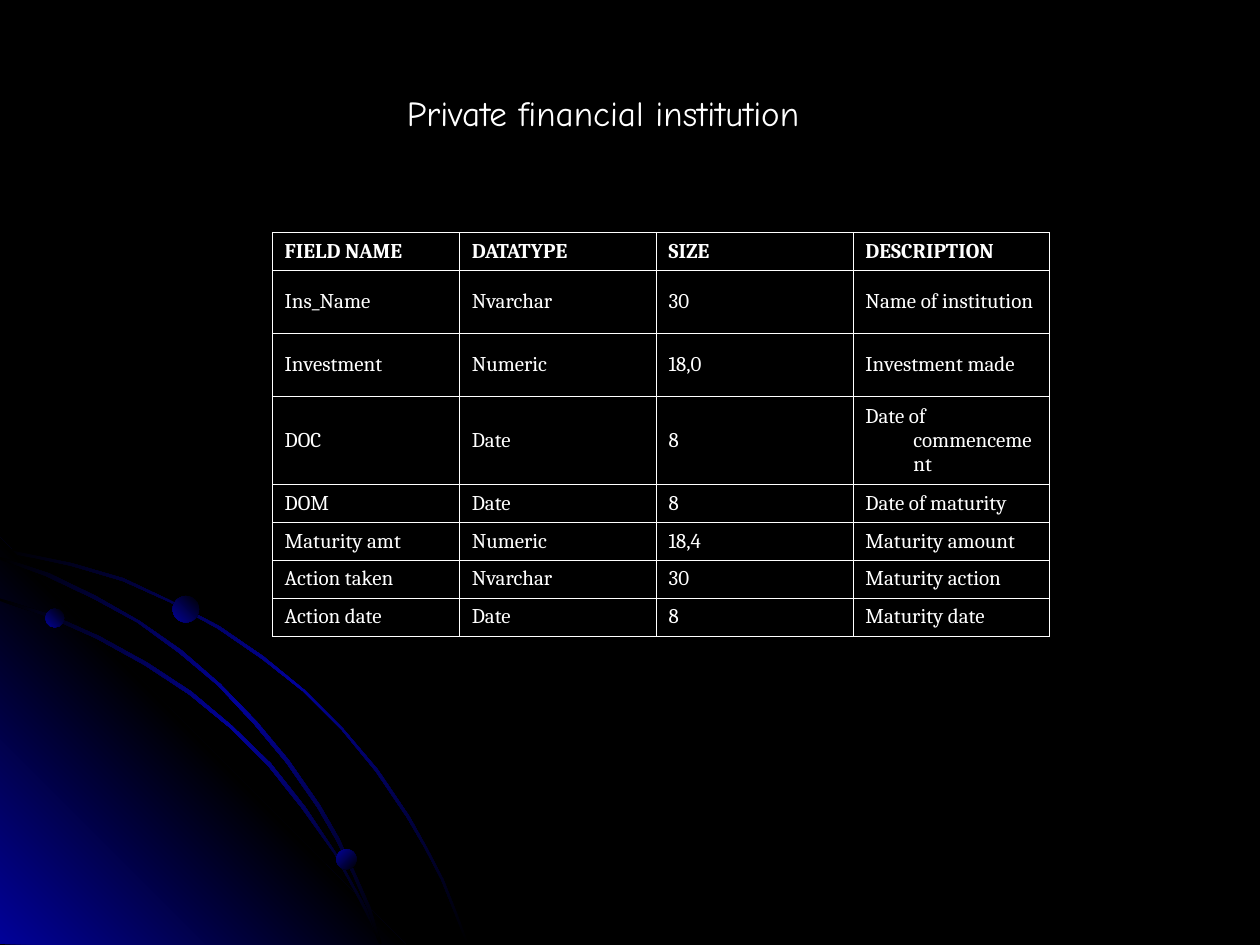
from dataclasses import dataclass

from lxml.etree import SubElement
from pptx import Presentation
from pptx.dml.color import RGBColor
from pptx.enum.shapes import MSO_SHAPE as Shape
from pptx.enum.text import MSO_ANCHOR as Anchor, MSO_AUTO_SIZE as AutoSize
from pptx.oxml import parse_xml
from pptx.oxml.ns import nsdecls, qn
from pptx.util import Inches, Pt

BLACK = RGBColor(0x00, 0x00, 0x00)
BLUE = RGBColor(0x01, 0x01, 0x99)
WHITE = RGBColor(0xFF, 0xFF, 0xFF)

# The slide is a grid of 1000 columns by 750 rows.
COLS, ROWS = 1000, 750
UNIT = Inches(0.01)

GLOW = (BLUE, BLACK, BLUE)
STREAK = (BLACK, BLUE, BLACK)
BALL = (BLACK, BLUE)

TITLE_FORMAT = {"size": Pt(20), "name": "Comic Neue"}
HEAD_FORMAT = {"size": Pt(12), "name": "Cambria", "bold": True}
BODY_FORMAT = {**HEAD_FORMAT, "bold": False}

COL_WIDTHS = (148.5, 156.25, 156.25, 156.25)
ROW_HEIGHTS = (30, 50, 50, 70, 30, 30, 30, 30)
FIELDS = (
    ("FIELD NAME", "DATATYPE", "SIZE", "DESCRIPTION"),
    ("Ins_Name", "Nvarchar", "30", "Name of institution"),
    ("Investment", "Numeric", "18,0", "Investment made"),
    ("DOC", "Date", "8", "Date of commencement"),
    ("DOM", "Date", "8", "Date of maturity"),
    ("Maturity amt", "Numeric", "18,4", "Maturity amount"),
    ("Action taken", "Nvarchar", "30", "Maturity action"),
    ("Action date", "Date", "8", "Maturity date"),
)


@dataclass(frozen=True)
class Outline:
    points: tuple
    colors: tuple
    angle: int


@dataclass(frozen=True)
class Ball:
    left: float
    top: float
    size: float
    angle: int


OUTER_ARC = Outline((
    (57, 447), (28, 441), (0, 435), (0, 438), (28, 443), (56, 449),
    (97, 461), (135, 478), (173, 499), (208, 523), (241, 549), (271, 579),
    (298, 612), (323, 649), (337, 673), (350, 698), (360, 723), (370, 749),
    (372, 749), (362, 723), (352, 698), (339, 673), (325, 648), (300, 611),
    (272, 578), (242, 548), (209, 521), (174, 497), (136, 477), (98, 459),
), STREAK, 225)
CORNER = Outline(((322, 749.5), (0, 749.5), (0, 427)), GLOW, 135)
INNER_ARC = Outline((
    (285, 714), (294, 732), (301, 749), (303, 749), (296, 730), (286, 712),
    (266, 676), (242, 640), (215, 606), (184, 576), (152, 549), (117, 526),
    (79, 505), (41, 488), (0, 475), (0, 477), (39, 490), (77, 507),
    (115, 528), (150, 551), (183, 578), (213, 608), (240, 642), (265, 677),
), STREAK, 225)
MIDDLE_ARC = Outline((
    (0, 442), (0, 444), (36, 457), (74, 475), (109, 494), (142, 518),
    (173, 544), (202, 575), (227, 605), (252, 641), (267, 667), (280, 694),
    (292, 722), (301, 749), (303, 749), (294, 720), (282, 693), (269, 665),
    (254, 639), (229, 603), (204, 573), (175, 543), (144, 516), (111, 493),
    (76, 473), (39, 455),
), STREAK, 225)
OUTLINES = (OUTER_ARC, CORNER, INNER_ARC, MIDDLE_ARC)
BALLS = (Ball(36, 483, 15, 135), Ball(267, 674, 16, 225), Ball(137, 473, 21, 135))


def grid(*values: float) -> list:
    return [round(v * UNIT) for v in values]


def apply_format(font, formats: dict) -> None:
    for name, value in formats.items():
        setattr(font, name, value)
    font.color.rgb = WHITE


def paint_gradient(sp, colors: tuple, angle: int) -> None:
    """Fill with evenly spaced colours; the angle runs clockwise in degrees."""
    sp.shadow.inherit = False
    sp.line.fill.background()
    sp.fill.background()
    step = 100000 // (len(colors) - 1)
    stops = "".join(
        f'<a:gs pos="{i * step}"><a:srgbClr val="{color}"/></a:gs>'
        for i, color in enumerate(colors))
    gradient = parse_xml(
        f'<a:gradFill {nsdecls("a")} rotWithShape="1"><a:gsLst>{stops}</a:gsLst>'
        f'<a:lin ang="{angle * 60000}" scaled="1"/></a:gradFill>')
    props = sp._element.spPr
    props.replace(props.find(qn("a:noFill")), gradient)


def draw_outline(s, outline: Outline) -> None:
    start, *rest = [grid(*point) for point in outline.points]
    builder = s.shapes.build_freeform(*start, scale=1.0)
    builder.add_line_segments(rest, close=True)
    paint_gradient(builder.convert_to_shape(), outline.colors, outline.angle)


def draw_ball(s, ball: Ball) -> None:
    sp = s.shapes.add_shape(
        Shape.OVAL, *grid(ball.left, ball.top, ball.size, ball.size))
    paint_gradient(sp, BALL, ball.angle)


def draw_title(s, text: str) -> None:
    tf = s.shapes.add_textbox(*grid(313, 67, 369, 44)).text_frame
    tf.word_wrap = False
    tf.auto_size = AutoSize.SHAPE_TO_FIT_TEXT
    tf.vertical_anchor = Anchor.MIDDLE
    r = tf.paragraphs[0].add_run()
    r.text = text
    apply_format(r.font, TITLE_FORMAT)


def add_borders(cell) -> None:
    props = cell._tc.get_or_add_tcPr()
    for side in ("lnL", "lnR", "lnT", "lnB"):
        line = SubElement(props, qn(f"a:{side}"), w=str(Pt(0.45)))
        fill = SubElement(line, qn("a:solidFill"))
        SubElement(fill, qn("a:srgbClr"), val=str(WHITE))


def fill_cell(cell, text: str, formats: dict) -> None:
    add_borders(cell)
    cell.fill.background()
    cell.vertical_anchor = Anchor.MIDDLE
    p = cell.text_frame.paragraphs[0]
    hanging = Inches(0.38)
    props = p._p.get_or_add_pPr()
    props.set("marL", str(hanging))
    props.set("indent", str(-hanging))
    r = p.add_run()
    r.text = text
    apply_format(r.font, formats)


def draw_table(s) -> None:
    table = s.shapes.add_table(
        len(FIELDS), len(COL_WIDTHS),
        *grid(216, 184.5, sum(COL_WIDTHS), sum(ROW_HEIGHTS))).table
    table.first_row = table.horz_banding = False
    for column, width in zip(table.columns, grid(*COL_WIDTHS)):
        column.width = width
    for row, height in zip(table.rows, grid(*ROW_HEIGHTS)):
        row.height = height
    for i, record in enumerate(FIELDS):
        for cell, text in zip(table.rows[i].cells, record):
            fill_cell(cell, text, BODY_FORMAT if i else HEAD_FORMAT)


def main() -> None:
    prs = Presentation()
    prs.slide_width, prs.slide_height = grid(COLS, ROWS)
    s = prs.slides.add_slide(prs.slide_layouts[6])
    s.background.fill.solid()
    s.background.fill.fore_color.rgb = BLACK
    for outline in OUTLINES:
        draw_outline(s, outline)
    for ball in BALLS:
        draw_ball(s, ball)
    draw_title(s, "Private financial institution")
    draw_table(s)
    prs.save("out.pptx")


if __name__ == "__main__":
    main()
